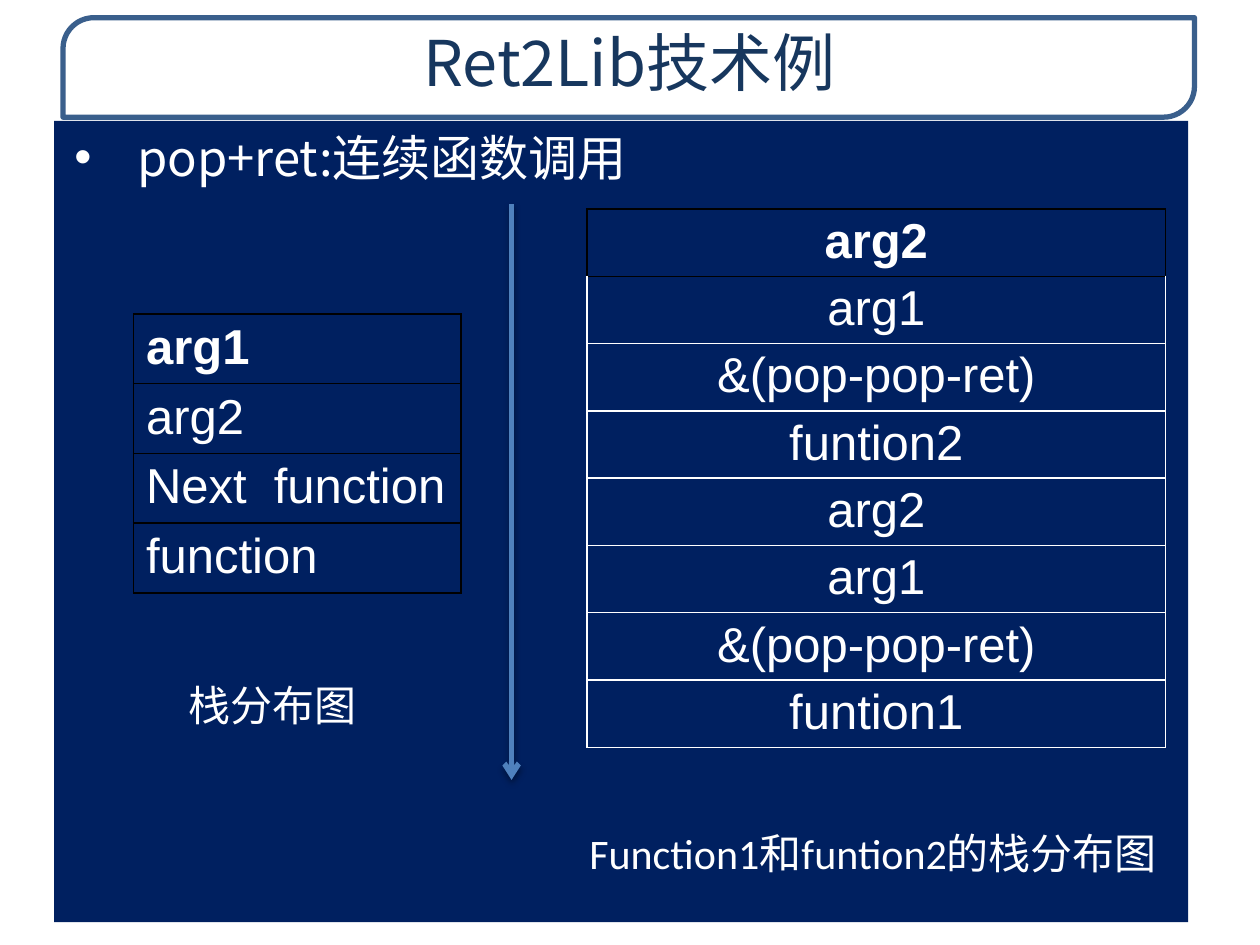
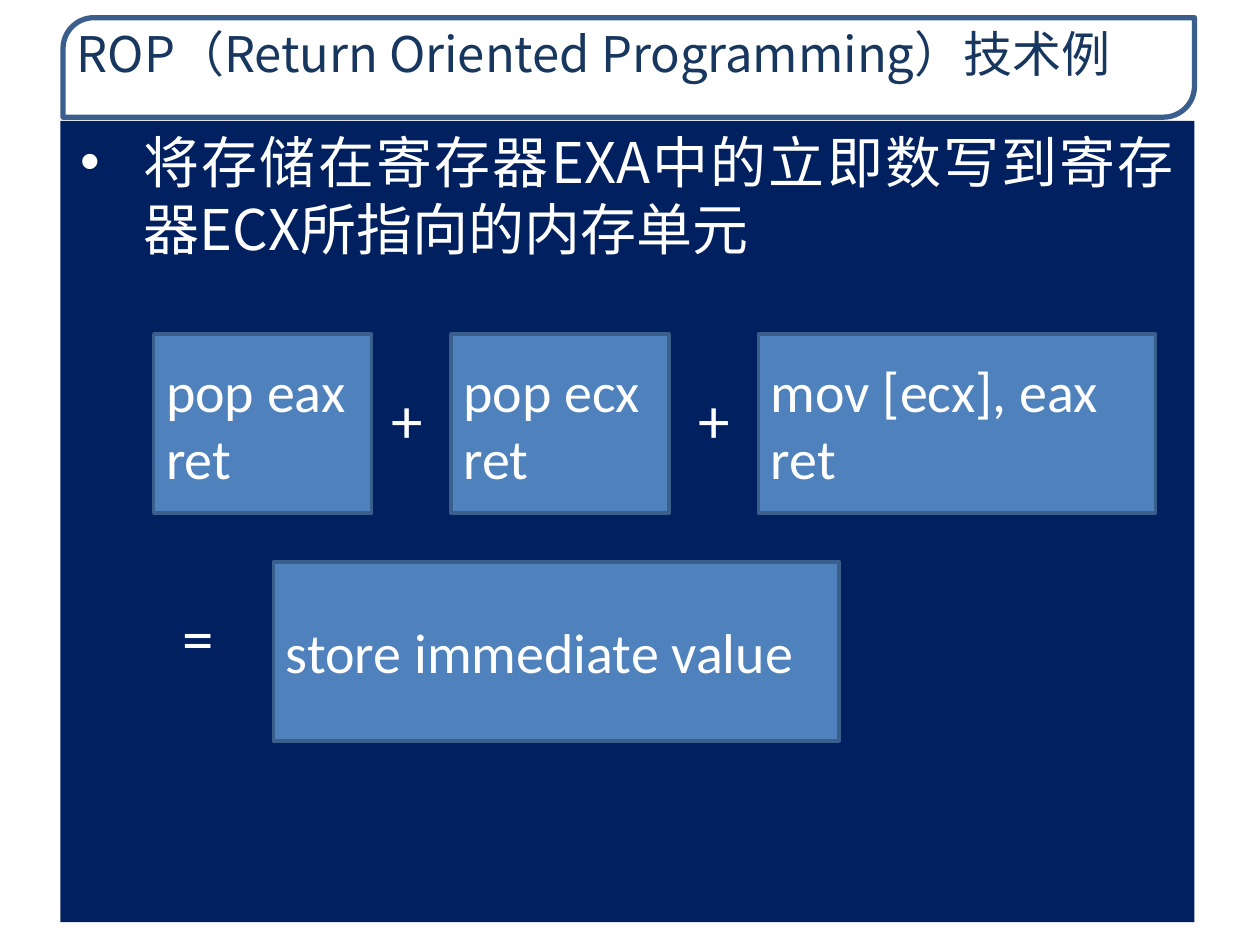
import pptx
import pptx.util
import pptx.dml.color
import pptx.enum.shapes
import pptx.enum.text
import pptx.oxml
import pptx.oxml.ns

# Grid: 100 columns by 75 rows on a 10 x 7.5 inch page
COLUMNS, ROWS = 100, 75
CELL = pptx.util.Inches(10) / COLUMNS

# Shared look
NAVY, WHITE, BLACK = "002060", "FFFFFF", "000000"
TITLE_BLUE, EDGE_BLUE, BOX_BLUE = "17375E", "3A5F8C", "4F81BD"
CJK_FONT, LATIN_FONT, TABLE_FONT = "Noto Sans CJK SC", "Calibri", "Arial"

SHAPE = pptx.enum.shapes.MSO_SHAPE
ALIGN = pptx.enum.text.PP_ALIGN
ANCHOR = pptx.enum.text.MSO_ANCHOR
qn = pptx.oxml.ns.qn


def grid(*cells):
    return [pptx.util.Emu(round(cell * CELL)) for cell in cells]


def color(value):
    return pptx.dml.color.RGBColor.from_string(value)


def add_xml(parent, markup):
    """Append a piece of DrawingML to parent."""
    tag, rest = markup[1:].split(" ", 1)
    node = pptx.oxml.parse_xml(f"<{tag} {pptx.oxml.ns.nsdecls('a')} {rest}")
    parent.append(node)
    return node


def write(frame, lines, size, font, fill=WHITE, align=ALIGN.LEFT, bold=False):
    """Write one paragraph per line, each as a single run."""
    frame.word_wrap = True
    for number, line in enumerate(lines):
        para = frame.add_paragraph() if number else frame.paragraphs[0]
        para.alignment = align
        span = para.add_run()
        span.text = line
        span.font.size = pptx.util.Pt(size)
        span.font.name = font
        span.font.bold = bold
        span.font.color.rgb = color(fill)
        add_xml(span.font._element, f'<a:ea typeface="{CJK_FONT}"/>')


def add_block(page, place, fill, edge=None, width=2, kind=SHAPE.RECTANGLE):
    box = page.shapes.add_shape(kind, *grid(*place))
    box.shadow.inherit = False
    box.fill.solid()
    box.fill.fore_color.rgb = color(fill)
    if edge:
        box.line.color.rgb = color(edge)
        box.line.width = pptx.util.Pt(width)
    else:
        box.line.fill.background()
    box.text_frame.vertical_anchor = ANCHOR.MIDDLE
    return box


def add_caption(page, place, text):
    box = add_block(page, place, NAVY)
    write(box.text_frame, [text], 24, LATIN_FONT, align=ALIGN.CENTER)


def add_code(page, place, lines):
    box = add_block(page, place, BOX_BLUE, EDGE_BLUE)
    write(box.text_frame, lines, 32, LATIN_FONT)


def add_sign(page, left, top, sign):
    box = page.shapes.add_textbox(*grid(left, top, 10.2, 10.2))
    box.text_frame.vertical_anchor = ANCHOR.MIDDLE
    write(box.text_frame, [sign], 36, LATIN_FONT, align=ALIGN.CENTER)


def add_panel(page, left, text, size):
    """Navy panel holding the bulleted statement of the page."""
    box = add_block(page, (left, 9.6, 90, 63.6), NAVY)
    frame = box.text_frame
    frame.vertical_anchor = ANCHOR.TOP
    frame.margin_left, frame.margin_right = grid(1.6, 1.6)
    write(frame, [text], size, CJK_FONT, align=ALIGN.JUSTIFY)
    layout = frame.paragraphs[0]._p.get_or_add_pPr()
    indent = grid(5)[0]
    layout.set("marL", str(indent))
    layout.set("indent", str(-indent))
    add_xml(layout, '<a:buFont typeface="Arial"/>')
    add_xml(layout, '<a:buChar char="•"/>')


def add_title_band(page):
    """Draw the title band and hand it to the layout all pages share."""
    band = add_block(page, (5, 1.4, 89.8, 7.9), WHITE, EDGE_BLUE, 3,
                     SHAPE.ROUND_2_DIAG_RECTANGLE)
    band.adjustments[0], band.adjustments[1] = 0.31, 0
    tint = band._element.spPr.find(f"{qn('a:solidFill')}/{qn('a:srgbClr')}")
    add_xml(tint, '<a:alpha val="85000"/>')
    page.slide_layout.shapes.element.append(band._element)


def add_page(deck, title, size, align):
    page = deck.slides.add_slide(deck.slide_layouts[5])
    box = page.shapes.title
    box.left, box.top, box.width, box.height = grid(5.1, 1.4, 89.7, 7.6)
    box.text_frame.vertical_anchor = ANCHOR.TOP
    write(box.text_frame, [title], size, CJK_FONT, TITLE_BLUE, align)
    return page


def set_borders(cell, edges):
    """Give a cell 1 pt borders; edges maps L, R, T, B to colours."""
    for side, (edge, shade) in enumerate(edges.items()):
        markup = (f'<a:ln{edge} w="12700"><a:solidFill><a:srgbClr val="{shade}"/>'
                  f'</a:solidFill></a:ln{edge}>')
        line = add_xml(cell._tc.get_or_add_tcPr(), markup)
        cell._tc.tcPr.insert(side, line)


def add_stack(page, place, row_height, entries, align, edge, margin):
    """One-column table of stack entries whose first row is bold."""
    left, top, width = place
    stack = page.shapes.add_table(
        len(entries), 1, *grid(left, top, width, row_height * len(entries))).table
    stack.horz_banding = False
    for number, entry in enumerate(entries):
        stack.rows[number].height = grid(row_height)[0]
        cell = stack.cell(number, 0)
        cell.margin_top, cell.margin_bottom = grid(margin, margin)
        cell.fill.solid()
        cell.fill.fore_color.rgb = color(NAVY)
        write(cell.text_frame, [entry], 28, TABLE_FONT, align=align,
              bold=number == 0)
        edges = dict.fromkeys("LRTB", edge if number else BLACK)
        if number == 1:
            edges["T"] = BLACK
        set_borders(cell, edges)


def add_growth_arrow(page, column, top, bottom):
    line = page.shapes.add_connector(
        pptx.enum.shapes.MSO_CONNECTOR.STRAIGHT,
        *grid(column, top, column, bottom))
    line.line.color.rgb = color(BOX_BLUE)
    line.line.width = pptx.util.Pt(3)
    add_xml(line.line._get_or_add_ln(), '<a:tailEnd type="arrow"/>')
    add_xml(line._element.spPr,
            '<a:effectLst ><a:outerShdw blurRad="40000" dist="23000" dir="5400000" '
            'rotWithShape="0"><a:srgbClr val="000000"><a:alpha val="35000"/>'
            '</a:srgbClr></a:outerShdw></a:effectLst>')


def build_ret2lib(deck):
    page = add_page(deck, "Ret2Lib技术例", 36, ALIGN.CENTER)
    add_title_band(page)
    add_panel(page, 4.3, "pop+ret:连续函数调用", 28)
    # Stack of one call, then of two chained calls
    add_stack(page, (10.6, 24.9, 26), 5.54,
              ["arg1", "arg2", "Next  function", "function"],
              ALIGN.LEFT, BLACK, 0.5)
    call = ["arg2", "arg1", "&(pop-pop-ret)"]
    add_stack(page, (46.6, 16.6, 45.9), 5.34,
              call + ["funtion2"] + call + ["funtion1"],
              ALIGN.CENTER, WHITE, 0.4)
    add_growth_arrow(page, 40.6, 16.2, 61.9)
    add_caption(page, (10.6, 50.9, 22, 10), "栈分布图")
    add_caption(page, (45.3, 62.7, 48, 10), "Function1和funtion2的栈分布图")


def build_rop(deck):
    page = add_page(deck, "ROP（Return Oriented Programming）技术例", 28, ALIGN.LEFT)
    add_panel(page, 4.8, "将存储在寄存器EXA中的立即数写到寄存器ECX所指向的内存单元", 32)
    # Gadgets that add up to one operation
    gadgets = [(12.2, 17.3, "pop eax"), (35.8, 17.3, "pop ecx"),
               (60.2, 31.5, "mov [ecx], eax")]
    for left, width, instruction in gadgets:
        add_code(page, (left, 26.5, width, 14.2), [instruction, "ret"])
    add_code(page, (21.7, 44.6, 44.9, 14.2), ["store immediate value"])
    for left, top, sign in [(27.2, 28.1, "+"), (51.6, 28.1, "+"), (10.6, 45.4, "=")]:
        add_sign(page, left, top, sign)


def main():
    deck = pptx.Presentation()
    deck.slide_width, deck.slide_height = grid(COLUMNS, ROWS)
    build_ret2lib(deck)
    build_rop(deck)
    deck.save("out.pptx")


if __name__ == "__main__":
    main()
